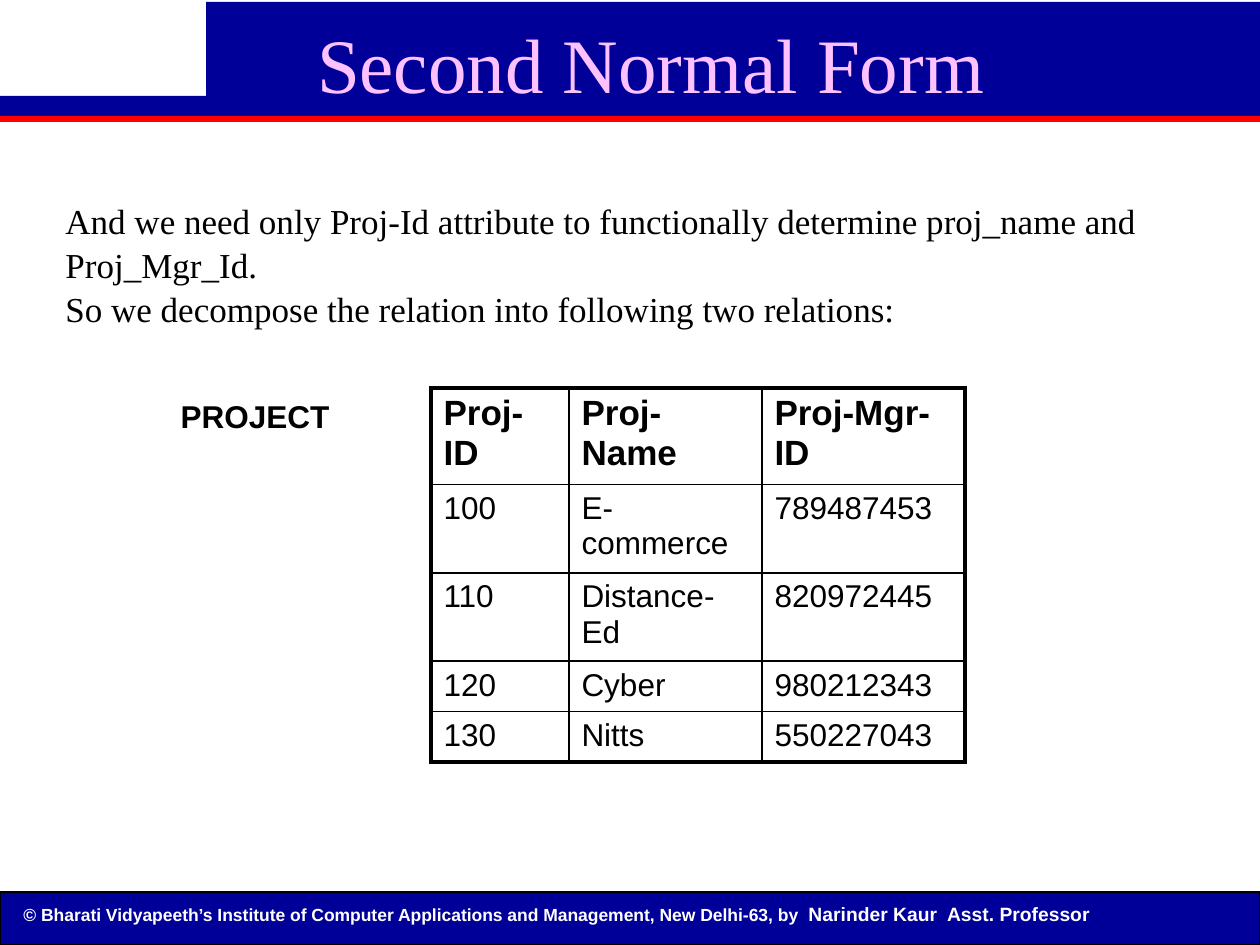
"""Build the Second Normal Form slide with its PROJECT relation."""
from lxml import etree
from pptx import Presentation
from pptx import util as u
from pptx.dml.color import RGBColor
from pptx.enum import shapes, text
from pptx.oxml.ns import qn

PX = u.Inches(1) // 126
NAVY = RGBColor(0x00, 0x00, 0x99)
RED = RGBColor(0xFF, 0x00, 0x00)
PINK = RGBColor(0xFE, 0xC1, 0xFF)
BLACK = RGBColor(0x00, 0x00, 0x00)
WHITE = RGBColor(0xFF, 0xFF, 0xFF)
SANS, SERIF = "Arial", "Times New Roman"

COLUMNS = [138, 193, 203]
ROWS = [91, 83, 83, 48, 48]
PROJECTS = [
    ["Proj-ID", "Proj-Name", "Proj-Mgr-ID"],
    ["100", "E-commerce", "789487453"],
    ["110", "Distance-Ed", "820972445"],
    ["120", "Cyber", "980212343"],
    ["130", "Nitts", "550227043"],
]


def to_emu(*lengths):
    return [n * PX for n in lengths]


def add_run(p, words, *, size=18, font=SANS, color=BLACK, bold=False):
    r = p.add_run()
    r.text = words
    r.font.size = u.Pt(size)
    r.font.name = font
    r.font.color.rgb = color
    r.font.bold = bold


def add_bar(s, box, color, outline=None):
    sp = s.shapes.add_shape(shapes.MSO_SHAPE.RECTANGLE, *to_emu(*box))
    sp.shadow.inherit = False
    sp.fill.solid()
    sp.fill.fore_color.rgb = color
    if outline is None:
        sp.line.fill.background()
    else:
        sp.line.color.rgb = outline
        sp.line.width = u.Pt(0.75)


def add_text(s, box, paragraphs, *, align=text.PP_ALIGN.LEFT, wrap=True, spacing=None, **style):
    tf = s.shapes.add_textbox(*to_emu(*box)).text_frame
    tf.word_wrap = wrap
    for i, words in enumerate(paragraphs):
        p = tf.add_paragraph() if i else tf.paragraphs[0]
        p.alignment = align
        p.line_spacing = spacing
        add_run(p, words, **style)
    return tf


def set_borders(cell, widths):
    tc_pr = cell._tc.get_or_add_tcPr()
    for side, width in widths.items():
        ln = etree.SubElement(tc_pr, qn(f"a:ln{side}"), w=str(u.Pt(width)))
        fill = etree.SubElement(ln, qn("a:solidFill"))
        etree.SubElement(fill, qn("a:srgbClr"), val=str(BLACK))


def add_relation(s, left, top, rows):
    box = to_emu(left, top, sum(COLUMNS), sum(ROWS))
    table = s.shapes.add_table(len(ROWS), len(COLUMNS), *box).table
    table.first_row = table.horz_banding = False
    for column, width in zip(table.columns, COLUMNS):
        column.width = width * PX
    for i, (row, height) in enumerate(zip(table.rows, ROWS)):
        row.height = height * PX
        for j, cell in enumerate(row.cells):
            header = i == 0
            add_run(cell.text_frame.paragraphs[0], rows[i][j],
                    size=20 if header else 18, bold=header)
            outer = {"L": j == 0, "R": j == len(COLUMNS) - 1,
                     "T": header, "B": i == len(ROWS) - 1}
            set_borders(cell, {side: 2.25 if edge else 1 for side, edge in outer.items()})
            cell.fill.background()


def add_frame(s):
    add_bar(s, (0, 96, 1260, 20), NAVY)
    add_bar(s, (0, 116, 1260, 6), RED)
    add_bar(s, (206, 2, 1054, 96), NAVY)
    add_bar(s, (0, 892, 1260, 53), NAVY, outline=BLACK)
    tf = add_text(s, (11, 896, 1157, 35),
                  ["© Bharati Vidyapeeth’s Institute of Computer Applications and Management, "
                   "New Delhi-63, by"], size=10, color=WHITE, bold=True)
    add_run(tf.paragraphs[0], "  Narinder Kaur  Asst. Professor", size=11, color=WHITE, bold=True)


def main():
    prs = Presentation()
    prs.slide_width, prs.slide_height = to_emu(1260, 945)
    s = prs.slides.add_slide(prs.slide_layouts[6])
    add_frame(s)
    add_text(s, (84, 10, 1134, 100), ["Second Normal Form"],
             align=text.PP_ALIGN.CENTER, size=44, font=SERIF, color=PINK)
    add_relation(s, 431, 388, PROJECTS)
    add_text(s, (168, 391, 174, 50), ["PROJECT"],
             align=text.PP_ALIGN.CENTER, wrap=False, bold=True)
    add_text(s, (53, 191, 1155, 150),
             ["And we need only Proj-Id attribute to functionally determine "
              "proj_name and Proj_Mgr_Id.",
              "So we decompose the relation into following two relations:"],
             spacing=1.05, size=20, font=SERIF)
    prs.save("out.pptx")


if __name__ == "__main__":
    main()
